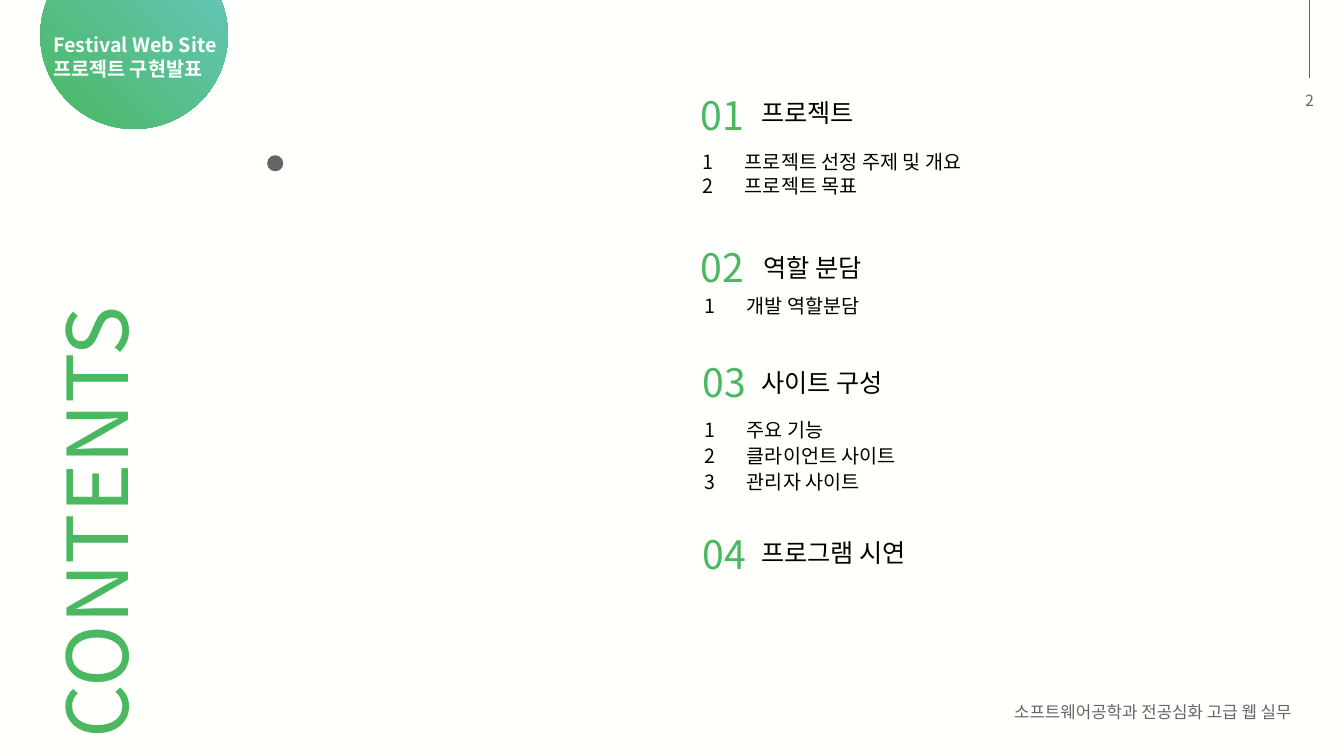
import pptx
import pptx.util
import pptx.dml.color
import pptx.enum.shapes
import pptx.oxml
import pptx.oxml.ns
from lxml import etree

Inches = pptx.util.Inches
FONT = "Noto Sans CJK KR"
GREEN, TEAL, GRAY, BLACK, WHITE = "4AB861", "67C7C3", "646569", "000000", "FFFFFF"
PAPER = "FFFFFB"

# Content: number (left, top), title (left, top), items left, [(top, text)]
PARTS = [
    ("프로젝트", (6.85, 0.86), (7.45, 0.92), 6.87,
     [(1.44, "프로젝트 선정 주제 및 개요"), (1.68, "프로젝트 목표")]),
    ("역할 분담", (6.85, 2.36), (7.47, 2.45), 6.89,
     [(2.87, "개발 역할분담")]),
    ("사이트 구성", (6.87, 3.51), (7.45, 3.59), 6.89,
     [(4.10, "주요 기능"), (4.35, "클라이언트 사이트"), (4.61, "관리자 사이트")]),
    ("프로그램 시연", (6.87, 5.21), (7.45, 5.28), 6.89, []),
]
BADGE = ["Festival Web Site", "프로젝트 구현발표"]
FOOTER = "소프트웨어공학과 전공심화 고급 웹 실무"
TAB = 0.42  # from item number to item text

deck = pptx.Presentation()
deck.slide_width, deck.slide_height = Inches(13.33), Inches(7.5)
slide = deck.slides.add_slide(deck.slide_layouts[6])


def paint(color, code):
    color.rgb = pptx.dml.color.RGBColor.from_string(code)


def add_text(lines, left, top, width, height, size, code, bold=False, tab=None):
    box = slide.shapes.add_textbox(*map(Inches, (left, top, width, height)))
    frame = box.text_frame
    frame.word_wrap = True
    frame.text = "\n".join(lines)
    for para in frame.paragraphs:
        font = para.font
        font.name, font.size, font.bold = FONT, pptx.util.Pt(size), bold
        paint(font.fill.fore_color if font.fill.type else font.color, code)
        props = para._p.get_or_add_pPr()
        # East Asian face for the Korean text
        latin = props.find(".//" + pptx.oxml.ns.qn("a:latin"))
        east = etree.Element(pptx.oxml.ns.qn("a:ea"), typeface=FONT)
        latin.addnext(east)
        if tab:
            stops = etree.Element(pptx.oxml.ns.qn("a:tabLst"))
            etree.SubElement(stops, pptx.oxml.ns.qn("a:tab"),
                             pos=str(Inches(tab)), algn="l")
            props.insert(0, stops)
    return box


def add_disc(left, top, size):
    disc = slide.shapes.add_shape(pptx.enum.shapes.MSO_SHAPE.OVAL,
                                  *map(Inches, (left, top, size, size)))
    disc.shadow.inherit = False
    disc.line.fill.background()
    return disc


# Background
slide.background.fill.solid()
paint(slide.background.fill.fore_color, PAPER)

# Badge and dot
badge = add_disc(0.4, -0.58, 1.86)
badge.fill.gradient()
badge.fill.gradient_angle = 45
for stop, place, code in zip(badge.fill.gradient_stops, (0, 1), (GREEN, TEAL)):
    stop.position = place
    paint(stop.color, code)
add_text(BADGE, 0.43, 0.28, 1.88, 0.57, 14, WHITE, bold=True)
dot = add_disc(2.65, 1.54, 0.16)
dot.fill.solid()
paint(dot.fill.fore_color, GRAY)

# Upright heading
head = add_text(["CONTENTS"], -1.34, 4.58, 4.57, 1.11, 60, GREEN)
head.rotation = 270

# Contents list
for num, (title, mark, name, left, items) in enumerate(PARTS, 1):
    add_text([f"{num:02}"], *mark, 0.69, 0.57, 28, GREEN)
    add_text([title], *name, 2.2, 0.4, 18, BLACK)
    for row, (top, text) in enumerate(items, 1):
        add_text([f"{row}\t{text}"], left, top, 3.26, 0.34, 14, BLACK, tab=TAB)

# Page number, rule and footer
add_text(["2"], 12.85, 0.85, 0.3, 0.29, 11, GRAY)
rule = slide.shapes.add_connector(
    pptx.enum.shapes.MSO_CONNECTOR.STRAIGHT,
    *map(Inches, (12.99, -0.01, 12.99, 0.77)))
rule.line.width = pptx.util.Pt(1)
paint(rule.line.color, GRAY)
etree.SubElement(rule._element.spPr, pptx.oxml.ns.qn("a:effectLst"))
add_text([FOOTER], 9.96, 6.91, 3.03, 0.3, 12, GRAY)

deck.save("out.pptx")
